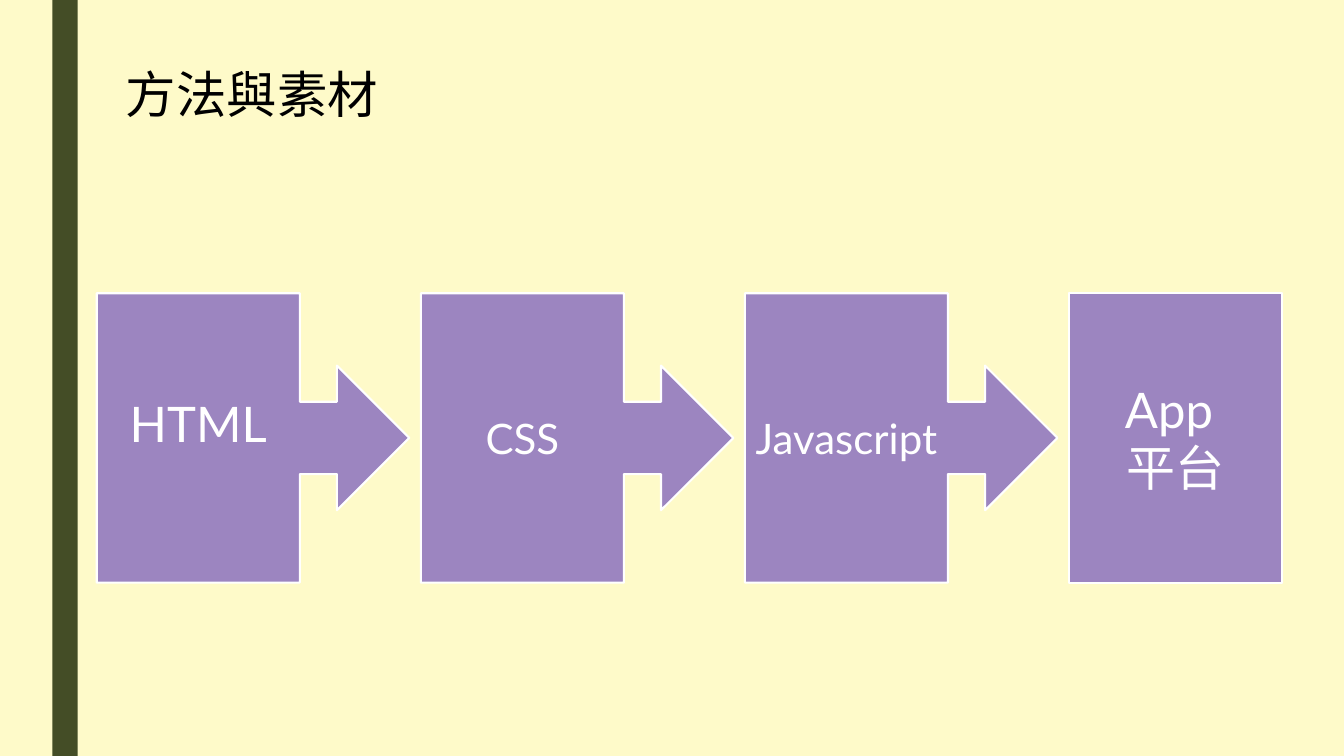
from dataclasses import dataclass

from pptx import Presentation
from pptx.dml.color import RGBColor
from pptx.enum.shapes import MSO_SHAPE
from pptx.enum.text import MSO_ANCHOR, MSO_AUTO_SIZE, PP_ALIGN
from pptx.util import Inches, Pt

RECT = MSO_SHAPE.RECTANGLE
CALLOUT = MSO_SHAPE.RIGHT_ARROW_CALLOUT
PROCESS = MSO_SHAPE.FLOWCHART_PROCESS
MIDDLE = MSO_ANCHOR.MIDDLE
FIT_SHAPE = MSO_AUTO_SIZE.SHAPE_TO_FIT_TEXT
LEFT, CENTER = PP_ALIGN.LEFT, PP_ALIGN.CENTER


@dataclass(frozen=True)
class Theme:
    font: str = "Lato"
    background: RGBColor = RGBColor(0xFE, 0xFA, 0xC9)
    bar: RGBColor = RGBColor(0x44, 0x4D, 0x26)
    step: RGBColor = RGBColor(0x9C, 0x85, 0xC0)
    white: RGBColor = RGBColor(0xFF, 0xFF, 0xFF)
    black: RGBColor = RGBColor(0, 0, 0)
    title_size: float = 36
    large_size: float = 35
    small_size: float = 30


theme = Theme()


def write(tf, text, size, color, align=LEFT):
    """Fill a text frame, one paragraph per line of text."""
    tf.word_wrap = True
    for i, line in enumerate(text.split("\n")):
        p = tf.paragraphs[0] if i == 0 else tf.add_paragraph()
        p.alignment = align
        r = p.add_run()
        r.text = line
        r.font.name = theme.font
        r.font.size = Pt(size)
        r.font.color.rgb = color


def add_block(s, kind, left, top, width, height, fill):
    """Add a filled shape without outline or shadow."""
    sp = s.shapes.add_shape(kind, Inches(left), Inches(top), Inches(width), Inches(height))
    sp.shadow.inherit = False
    sp.fill.solid()
    sp.fill.fore_color.rgb = fill
    sp.line.fill.background()
    return sp


prs = Presentation()
prs.slide_width = Inches(13.33)
prs.slide_height = Inches(7.5)
s = prs.slides.add_slide(prs.slide_layouts[6])
s.background.fill.solid()
s.background.fill.fore_color.rgb = theme.background

add_block(s, RECT, 0.52, 0, 0.25, 7.5, theme.bar)

title = s.shapes.add_textbox(Inches(1.15), Inches(0.58), Inches(6.67), Inches(0.71))
write(title.text_frame, "方法與素材", theme.title_size, theme.black)
title.text_frame.auto_size = FIT_SHAPE

# Text, shape kind, width, type size, bottom inset
steps = [
    ("HTML", CALLOUT, 3.1, theme.large_size, 0.35),
    ("CSS", CALLOUT, 3.1, theme.small_size, 0.05),
    ("Javascript", CALLOUT, 3.1, theme.small_size, 0.05),
    ("App \n平台", PROCESS, 2.11, theme.large_size, 0.05),
]
first_left, pitch = 0.96, 3.214
for i, (text, kind, width, size, bottom) in enumerate(steps):
    sp = add_block(s, kind, first_left + i * pitch, 2.91, width, 2.87, theme.step)
    sp.line.color.rgb = theme.white
    sp.line.width = Pt(1.5)
    tf = sp.text_frame
    tf.vertical_anchor = MIDDLE
    tf.margin_left = tf.margin_right = Inches(0.05)
    tf.margin_bottom = Inches(bottom)
    write(tf, text, size, theme.white, align=CENTER)

prs.save("out.pptx")
